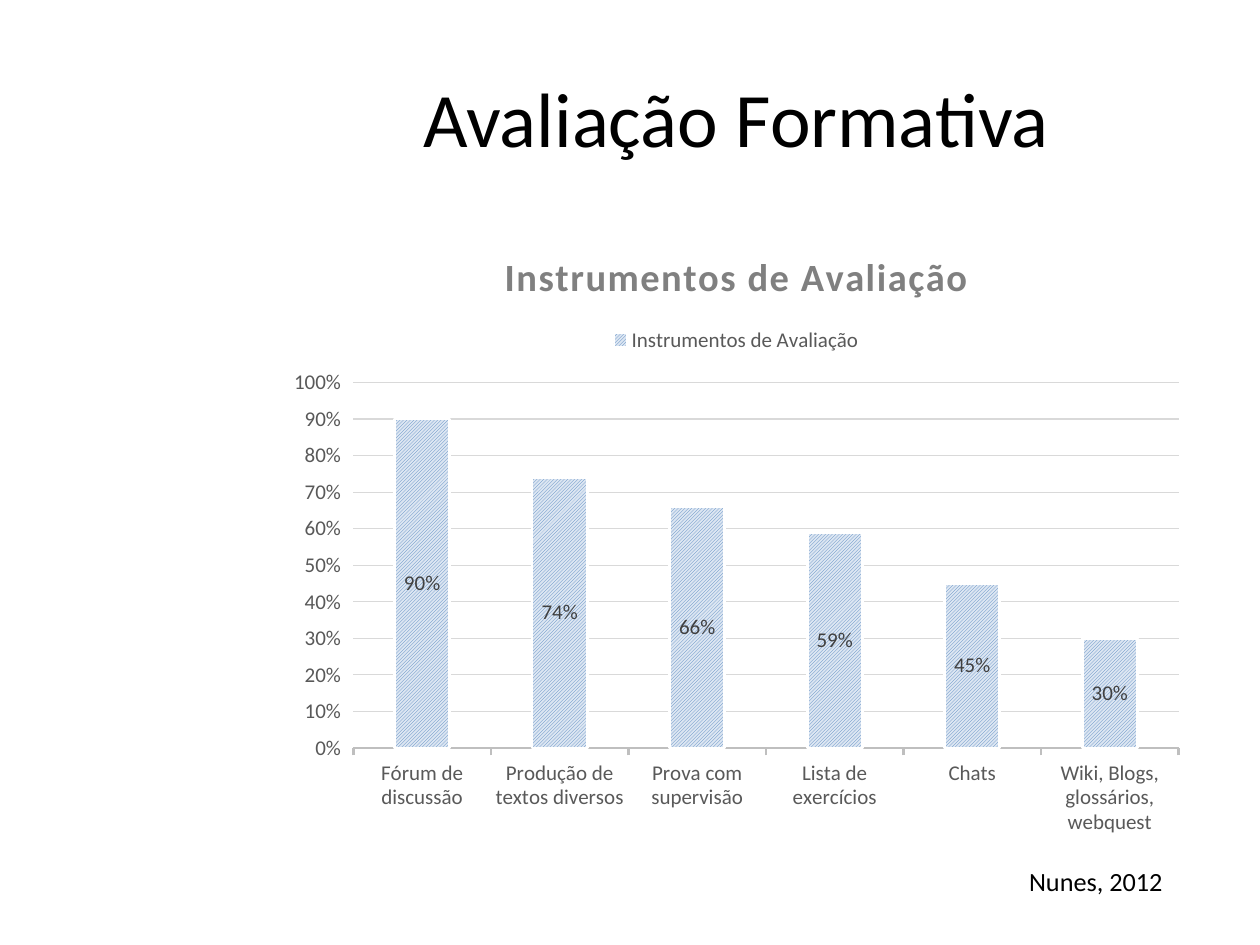
from dataclasses import dataclass

from pptx import Presentation
from pptx import util as u
from pptx.chart import data as chart_data
from pptx.dml import color
from pptx.enum import chart as kinds
from pptx.enum import dml, text


@dataclass(frozen=True)
class Theme:
    """Colours and type sizes of the slide."""
    font: str = "Calibri"
    ink: str = "000000"
    heading: str = "808080"
    axis_text: str = "595959"
    label: str = "404040"
    axis_line: str = "BFBFBF"
    grid: str = "D9D9D9"
    stripe: str = "4F81BD"
    stripe_back: str = "DCE6F2"
    white: str = "FFFFFF"
    title_size: int = 44
    heading_size: int = 22
    source_size: int = 15
    chart_size: int = 12


THEME = Theme()
LEFT, WIDTH = 157.5, 526.5
INSTRUMENTS = {
    "Fórum de discussão": 0.90,
    "Produção de textos diversos": 0.74,
    "Prova com supervisão": 0.66,
    "Lista de exercícios": 0.59,
    "Chats": 0.45,
    "Wiki, Blogs, glossários, webquest": 0.30,
}


def rgb(value):
    """Turn a hex string into a colour."""
    return color.RGBColor.from_string(value)


def style_font(font, size, shade, bold=False):
    """Set face, size, colour and weight of a font."""
    font.name, font.size, font.bold = THEME.font, u.Pt(size), bold
    font.color.rgb = rgb(shade)


def style_line(line, shade, width):
    """Set colour and width of a line."""
    line.color.rgb = rgb(shade)
    line.width = u.Pt(width)


def place(shape, left, top, width, height):
    """Move and size a shape, in points."""
    shape.left, shape.top = u.Pt(left), u.Pt(top)
    shape.width, shape.height = u.Pt(width), u.Pt(height)


def add_title(page, wording):
    """Fill and place the title placeholder."""
    title = page.shapes.title
    place(title, LEFT, 21.6, WIDTH, 90)
    frame = title.text_frame
    frame.text = wording
    frame.vertical_anchor = text.MSO_ANCHOR.MIDDLE
    para = frame.paragraphs[0]
    para.alignment = text.PP_ALIGN.CENTER
    style_font(para.runs[0].font, THEME.title_size, THEME.ink)


def add_source(page, wording):
    """Add the source credit below the chart."""
    box = page.shapes.add_textbox(u.Pt(581), u.Pt(491), u.Pt(158.4), u.Pt(25.2))
    frame = box.text_frame
    frame.word_wrap = True
    frame.auto_size = text.MSO_AUTO_SIZE.SHAPE_TO_FIT_TEXT
    frame.text = wording
    style_font(frame.paragraphs[0].runs[0].font, THEME.source_size, THEME.ink)


def style_heading(chart, wording):
    """Give the chart a bold, letter-spaced heading."""
    chart.has_title = True
    frame = chart.chart_title.text_frame
    frame.text = wording
    span = frame.paragraphs[0].runs[0]
    style_font(span.font, THEME.heading_size, THEME.heading, bold=True)
    span.font._element.set("spc", "100")
    chart.chart_title.include_in_layout = False


def style_axes(chart):
    """Format both axes and the grid."""
    for axis in (chart.category_axis, chart.value_axis):
        axis.major_tick_mark = kinds.XL_TICK_MARK.OUTSIDE
        axis.minor_tick_mark = kinds.XL_TICK_MARK.NONE
        style_font(axis.tick_labels.font, THEME.chart_size, THEME.axis_text)
    style_line(chart.category_axis.format.line, THEME.axis_line, 1.5)
    values = chart.value_axis
    values.minimum_scale, values.maximum_scale, values.major_unit = 0, 1, 0.1
    values.tick_labels.number_format = "0%"
    values.tick_labels.number_format_is_linked = False
    values.format.line.fill.background()
    values.has_major_gridlines = True
    style_line(values.major_gridlines.format.line, THEME.grid, 0.75)


def style_bars(plot):
    """Stripe the bars and label their centres."""
    plot.gap_width = 150
    plot.vary_by_categories = False
    bars = plot.series[0]
    fill = bars.format.fill
    fill.patterned()
    fill.pattern = dml.MSO_PATTERN.LIGHT_UPWARD_DIAGONAL
    fill.fore_color.rgb = rgb(THEME.stripe)
    fill.back_color.rgb = rgb(THEME.stripe_back)
    style_line(bars.format.line, THEME.white, 1.5)
    labels = bars.data_labels
    labels.show_value = True
    labels.position = kinds.XL_LABEL_POSITION.CENTER
    labels.number_format = "0%"
    labels.number_format_is_linked = False
    style_font(labels.font, THEME.chart_size, THEME.label)


def add_column_chart(page, name, values):
    """Add the column chart with heading and legend."""
    data = chart_data.CategoryChartData(number_format="0%")
    data.categories = list(values)
    data.add_series(name, list(values.values()))
    chart = page.shapes.add_chart(
        kinds.XL_CHART_TYPE.COLUMN_CLUSTERED,
        u.Pt(LEFT), u.Pt(128), u.Pt(WIDTH), u.Pt(356.4), data).chart
    style_font(chart.font, 10, THEME.ink)
    style_heading(chart, name)
    chart.has_legend = True
    chart.legend.position = kinds.XL_LEGEND_POSITION.TOP
    chart.legend.include_in_layout = False
    style_font(chart.legend.font, THEME.chart_size, THEME.axis_text)
    style_axes(chart)
    style_bars(chart.plots[0])


def main():
    """Build and save the slide."""
    deck = Presentation()
    deck.slide_width, deck.slide_height = u.Pt(720), u.Pt(540)
    page = deck.slides.add_slide(deck.slide_layouts.get_by_name("Title Only"))
    add_title(page, "Avaliação Formativa")
    add_column_chart(page, "Instrumentos de Avaliação", INSTRUMENTS)
    add_source(page, "Nunes, 2012")
    deck.save("out.pptx")


main()
